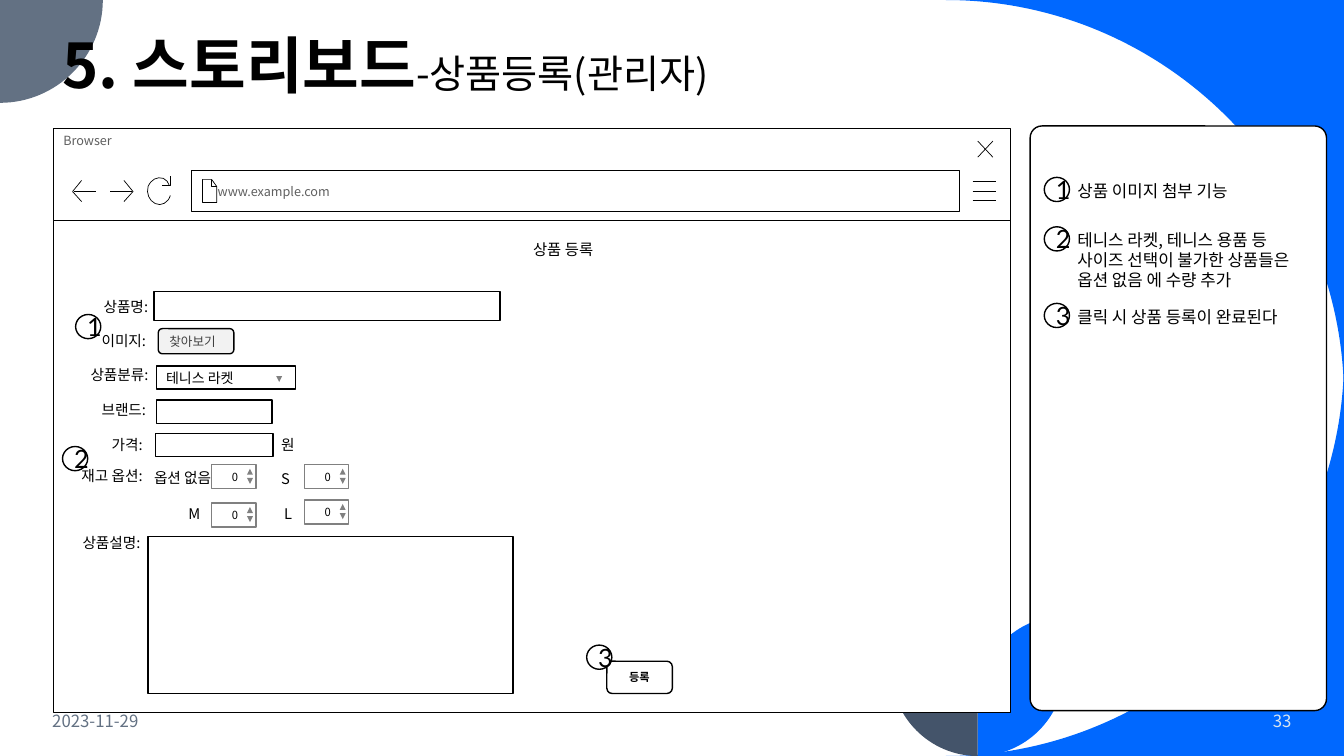
from math import cos, sin, radians
from lxml.etree import SubElement
from pptx import Presentation
from pptx.dml.color import RGBColor as Rgb
from pptx.enum.shapes import MSO_SHAPE as Kind
from pptx.enum.text import MSO_ANCHOR as Anchor, MSO_AUTO_SIZE as Size, PP_ALIGN as Align
from pptx.oxml.ns import qn
from pptx.util import Pt

UNIT = 9144  # EMU per px, 100 px to the inch
WIDE, HIGH = 4000 / 3, 750
BEND = 0.55  # handle length of a quarter circle
SANS, LATO = "Noto Sans CJK KR", "Lato"
HUES = {"blue": "0068FF", "slate": "637183", "navy": "44546A", "pale": "DAE5EF",
        "white": "FFFFFF", "black": "000000", "gray": "808080", "dim": "5F5F5F",
        "dark": "404040", "light": "F2F2F2"}


def hue(name):
    return Rgb.from_string(HUES[name])


def apply(obj, fmt):
    for key, val in fmt.items():
        setattr(obj, key, val)


def paint(shape, fill, line, width):
    shape.shadow.inherit = False
    if fill:
        shape.fill.solid()
        shape.fill.fore_color.rgb = hue(fill)
    else:
        shape.fill.background()
    if line:
        shape.line.color.rgb = hue(line)
        shape.line.width = Pt(width)
    else:
        shape.line.fill.background()


def write(shape, runs, align=Align.LEFT, anchor=Anchor.MIDDLE, pad=(10, 5, 10, 5),
          space=None, face=SANS):
    """Each run is (text, size, colour, bold)."""
    frame = shape.text_frame
    sides = ("margin_left", "margin_top", "margin_right", "margin_bottom")
    apply(frame, {"word_wrap": True, "vertical_anchor": anchor})
    apply(frame, {side: px * UNIT for side, px in zip(sides, pad)})
    para = frame.paragraphs[0]
    apply(para, {"alignment": align, "line_spacing": space})
    for text, size, tint, bold in runs:
        run = para.add_run()
        run.text = text
        apply(run.font, {"size": Pt(size), "bold": bold, "name": face})
        run.font.color.rgb = hue(tint)
        SubElement(run.font._element, qn("a:ea")).set("typeface", face)


def box(slide, at, kind=Kind.RECTANGLE, fill="white", line="black", width=1):
    shape = slide.shapes.add_shape(kind, *(px * UNIT for px in at))
    paint(shape, fill, line, width)
    return shape


def label(slide, text, x, y, w=92, h=28, size=10.5):
    area = slide.shapes.add_textbox(*(px * UNIT for px in (x, y, w, h)))
    write(area, [(text, size, "black", False)], anchor=Anchor.TOP)
    area.text_frame.auto_size = Size.SHAPE_TO_FIT_TEXT


def arc(x, y, rx, ry, start):
    """Quarter turn: its first point, then one curve."""
    a = radians(start)
    c, s = cos(a), sin(a)
    ring = ((c, s), (c - BEND * s, s + BEND * c), (BEND * c - s, BEND * s + c), (-s, c))
    first, *curve = [(x + rx * u, y + ry * v) for u, v in ring]
    return [first, curve]


def trace(slide, lines, fill=None, line=None, width=0.5):
    """A step is a point for a line, or a list of three for a curve."""
    pen, steps = None, []
    for first, *rest in lines:
        rest = [step if isinstance(step, list) else [step] for step in rest]
        steps += rest
        x, y = (px * UNIT for px in first)
        if pen:
            pen.move_to(x, y)
        else:
            pen = slide.shapes.build_freeform(x, y)
        pen.add_line_segments([(u * UNIT, v * UNIT) for step in rest for u, v in step],
                              close=bool(fill))
    shape = pen.convert_to_shape()
    paint(shape, fill, line, width)
    # Join each three points of a curve
    nodes = iter(list(shape._element.iter(qn("a:lnTo"))))
    for step in steps:
        node, *more = [next(nodes) for _ in step]
        if more:
            node.tag = qn("a:cubicBezTo")
        for extra in more:
            node.append(extra[0])
            extra.getparent().remove(extra)


def badge(slide, digit, x, y):
    ring = box(slide, (x, y, 25, 24), Kind.OVAL)
    write(ring, [(digit, 18, "black", False)], Align.CENTER, face=LATO)


def mark(slide, x, y, turn=0):
    tip = box(slide, (x, y, 6, 6), Kind.ISOSCELES_TRIANGLE, "gray", None)
    tip.rotation = turn


def spin(slide, x, y):
    cell = box(slide, (x, y, 44, 24), line="gray")
    write(cell, [("0", 8, "black", False)], pad=(20, 5, 10, 5))
    mark(slide, x + 35, y + 13, 180)
    mark(slide, x + 35, y + 4)


def back(slide):
    # Corner curves
    mid = WIDE - 395
    trace(slide, [[(WIDE, 0)] + arc(mid, 395, 395, 395, -90)], "blue")
    trace(slide, [[(WIDE, HIGH)] + arc(mid, 355, 395, 395, 0)], "blue")
    trace(slide, [[(0, 0)] + arc(0, 0, 102, 102, 0)], "slate")
    # Two mirrored leaves
    for side, fill in ((86, "blue"), (-86, "navy")):
        leaf = arc(970, 664, side, 86, 0) + arc(970 + side, 697, side, 86, 180)
        trace(slide, [leaf], fill)


def foot(slide):
    for text, x, w, tint, align in (("2023-11-29", 42, 300, "slate", Align.LEFT),
                                    ("33", 1110, 181, "pale", Align.RIGHT)):
        area = slide.shapes.add_textbox(*(px * UNIT for px in (x, 695, w, 40)))
        write(area, [(text, 12, tint, False)], align)


def window(slide):
    box(slide, (53, 219, 949, 488), width=0.5)
    bar = box(slide, (53, 127, 949, 92), width=0.5)
    write(bar, [("Browser", 9, "dim", False)], anchor=Anchor.TOP, pad=(10, 5, 25, 5))
    url = box(slide, (190, 169, 762, 41), width=0.5)
    write(url, [("www.example.com", 9, "dim", False)], pad=(26, 5, 10, 5))
    # Menu, close, page, back, forward and reload icons
    icons = (
        [[(965, y), (988, y)] for y in (199, 190, 180)],
        [[(985, 140), (970, 156)], [(970, 140), (985, 156)]],
        [[(210, 179), (210, 185), (215, 185)],
         [(201, 178), (201, 201), (215, 201), (215, 185), (210, 178), (201, 178)]],
        [[(81, 200), (72, 190), (81, 179)], [(73, 190), (95, 190)]],
        [[(123, 179), (132, 190), (123, 200)], [(131, 190), (109, 190)]],
        [[(169, 175), (169, 184), (161, 184)],
         [(169, 194), [(167, 201), (160, 205), (154, 202)],
          [(148, 199), (145, 192), (147, 185)], [(150, 178), (156, 175), (162, 177)],
          [(165, 178), (167, 181), (168, 184)]]],
    )
    for lines in icons:
        trace(slide, lines, line="black")


def form(slide):
    label(slide, "상품 등록", 519, 233, 123, 29, 11)
    # Entry fields
    for at in ((153, 289, 343, 29), (147, 532, 362, 156),
               (155, 397, 115, 23), (154, 430, 117, 23)):
        box(slide, at)
    pick = box(slide, (155, 363, 138, 23))
    write(pick, [("테니스 라켓", 10, "black", False)])
    mark(slide, 274, 373, 180)
    # Buttons
    find = box(slide, (157, 326, 75, 25), Kind.ROUNDED_RECTANGLE, "light")
    write(find, [("찾아보기", 9, "dark", False)], Align.JUSTIFY)
    send = box(slide, (602, 656, 65, 32), Kind.ROUNDED_RECTANGLE)
    write(send, [("등록", 8, "black", True)], Align.CENTER)
    # Stock counters
    for x, y in ((210, 461), (302, 461), (302, 496), (210, 499)):
        spin(slide, x, y)
    # Field names
    for text, x, y in (("상품명:", 93, 291), ("이미지:", 91, 324), ("상품분류:", 80, 358),
                       ("브랜드:", 91, 393), ("가격:", 101, 427), ("원", 269, 427),
                       ("재고 옵션:", 71, 458), ("옵션 없음", 143, 460),
                       ("상품설명:", 72, 525)):
        label(slide, text, x, y)
    for text, x, y in (("M", 177, 496), ("S", 269, 461), ("L", 272, 496)):
        label(slide, text, x, y, 30)
    for digit, x, y in (("1", 75, 312), ("2", 62, 443), ("3", 582, 640)):
        badge(slide, digit, x, y)


def notes(slide):
    rows = (("상품 이미지 첨부 기능", 174, 30),
            ("테니스 라켓, 테니스 용품 등 사이즈 선택이 불가한 상품들은 옵션 없음 에 수량 추가", 223, 71),
            ("클릭 시 상품 등록이 완료된다", 299, 30))
    for i, (text, y, h) in enumerate(rows, 1):
        badge(slide, str(i), 1036, y + 2)
        label(slide, text, 1059, y, 256, h, 12)


def main():
    deck = Presentation()
    apply(deck, {"slide_width": round(WIDE * UNIT), "slide_height": HIGH * UNIT})
    slide = deck.slides.add_slide(deck.slide_layouts[6])
    back(slide)
    panel = box(slide, (1022, 125, 294, 580), Kind.ROUNDED_RECTANGLE)
    panel.adjustments[0] = 0.04
    foot(slide)
    window(slide)
    # Title
    head = slide.shapes.add_textbox(*(px * UNIT for px in (52, 30, 1024, 105)))
    write(head, [("5. 스토리보드", 44, "black", True),
                 ("-상품등록(관리자)", 28, "black", False)], anchor=Anchor.TOP, space=0.9)
    form(slide)
    notes(slide)
    deck.save("out.pptx")


if __name__ == "__main__":
    main()
